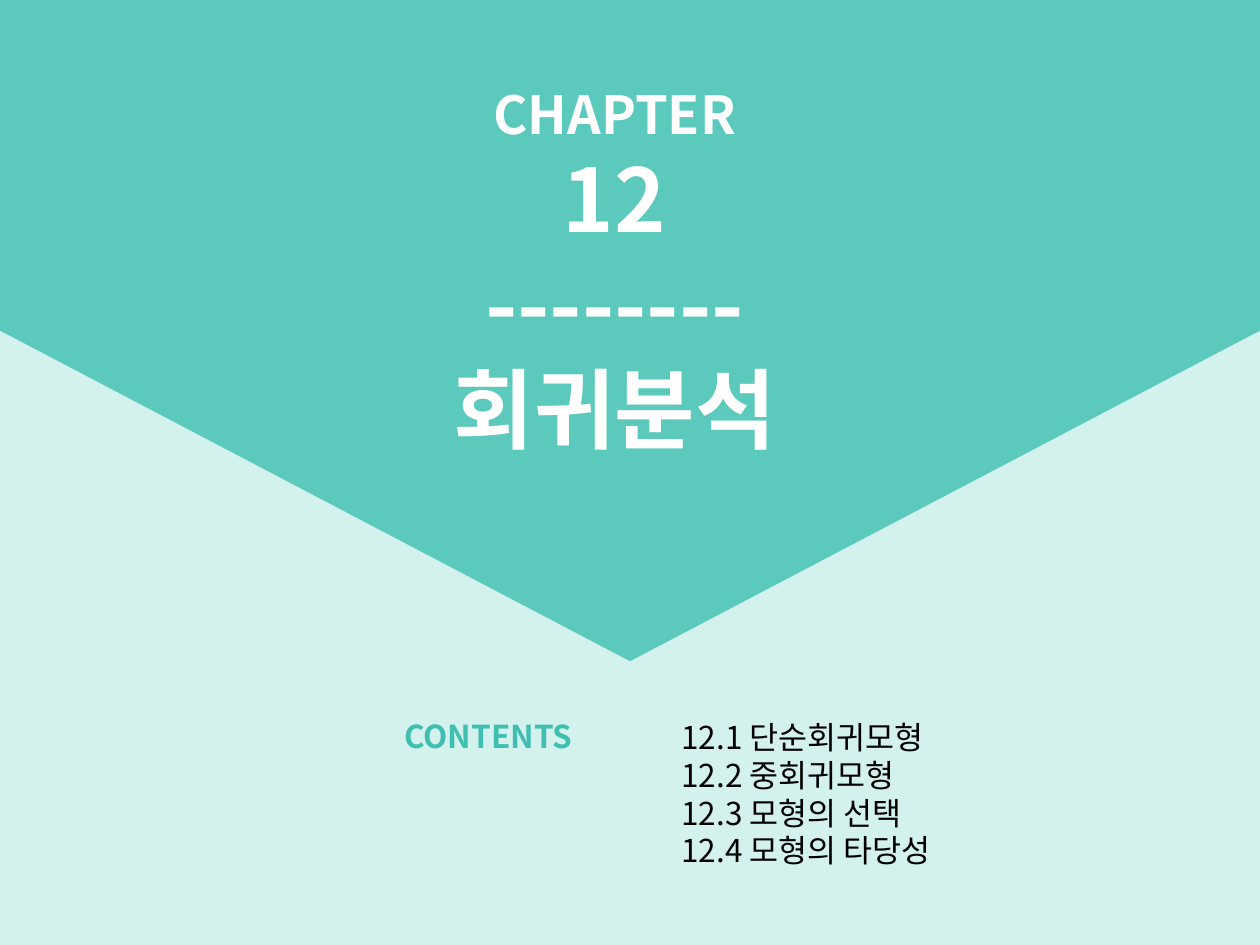
import pptx
import pptx.util
import pptx.dml.color
import pptx.enum.shapes
import pptx.enum.text
import pptx.oxml.ns
import lxml.etree

Cm, Pt = pptx.util.Cm, pptx.util.Pt
SHAPE = pptx.enum.shapes.MSO_SHAPE
ALIGN = pptx.enum.text.PP_ALIGN

# Content
FONT = "Noto Sans CJK KR"
HEADING = [("CHAPTER", 30), ("12", 50), ("--------", 50), ("회귀분석", 50)]
CONTENTS_LABEL = [("CONTENTS", 18)]
SECTIONS = [(text, 18) for text in (
    "12.1 단순회귀모형", "12.2 중회귀모형", "12.3 모형의 선택", "12.4 모형의 타당성")]

# Page and arrow sizes in cm
WIDTH, HEIGHT = 25.4, 19.05
ARROW_DEPTH = 13.33


def rgb(value):
    return pptx.dml.color.RGBColor.from_string(value)


def add_block(s, kind, left, top, width, height, color):
    sp = s.shapes.add_shape(kind, Cm(left), Cm(top), Cm(width), Cm(height))
    sp.shadow.inherit = False
    sp.fill.solid()
    sp.fill.fore_color.rgb = rgb(color)
    sp.line.fill.background()
    return sp


def write(sp, box, lines, color, bold=False, align=ALIGN.LEFT):
    sp.left, sp.top, sp.width, sp.height = (Cm(v) for v in box)
    tf = sp.text_frame
    tf.text = "\n".join(text for text, size in lines)
    tf.word_wrap = True
    tf.auto_size = pptx.enum.text.MSO_AUTO_SIZE.NONE
    tf.vertical_anchor = pptx.enum.text.MSO_ANCHOR.TOP
    for p, (text, size) in zip(tf.paragraphs, lines):
        p.alignment = align
        font = p.runs[0].font
        font.name, font.size, font.bold = FONT, Pt(size), bold
        font.color.rgb = rgb(color)
        # Korean glyphs take the East Asian typeface
        ea = lxml.etree.SubElement(p.runs[0]._r.get_or_add_rPr(), pptx.oxml.ns.qn("a:ea"))
        ea.set("typeface", FONT)


def add_text(s, box, *args, **kwargs):
    write(s.shapes.add_textbox(*(Cm(v) for v in box)), box, *args, **kwargs)


prs = pptx.Presentation()
prs.slide_width, prs.slide_height = Cm(WIDTH), Cm(HEIGHT)
s = prs.slides.add_slide(prs.slide_layouts[5])
title = s.shapes.title

# Background and downward arrow, a pentagon turned about its centre
add_block(s, SHAPE.RECTANGLE, 0, 0, WIDTH, HEIGHT, "D3F1ED")
arrow = add_block(s, SHAPE.PENTAGON, (WIDTH - ARROW_DEPTH) / 2,
                  (ARROW_DEPTH - WIDTH) / 2, ARROW_DEPTH, WIDTH, "5BC9BC")
arrow.rotation = 90

# Chapter heading, moved in front of the blocks
s.shapes._spTree.append(title._element)
write(title, (7.49, 1.52, 9.8, 7.95), HEADING, "FFFFFF", bold=True, align=ALIGN.CENTER)

# Contents
add_text(s, (13.49, 14.35, 8.41, 3.33), SECTIONS, "000000")
add_text(s, (7.9, 14.33, 4.39, 1.02), CONTENTS_LABEL, "3FBFB0", bold=True)

prs.save("out.pptx")
